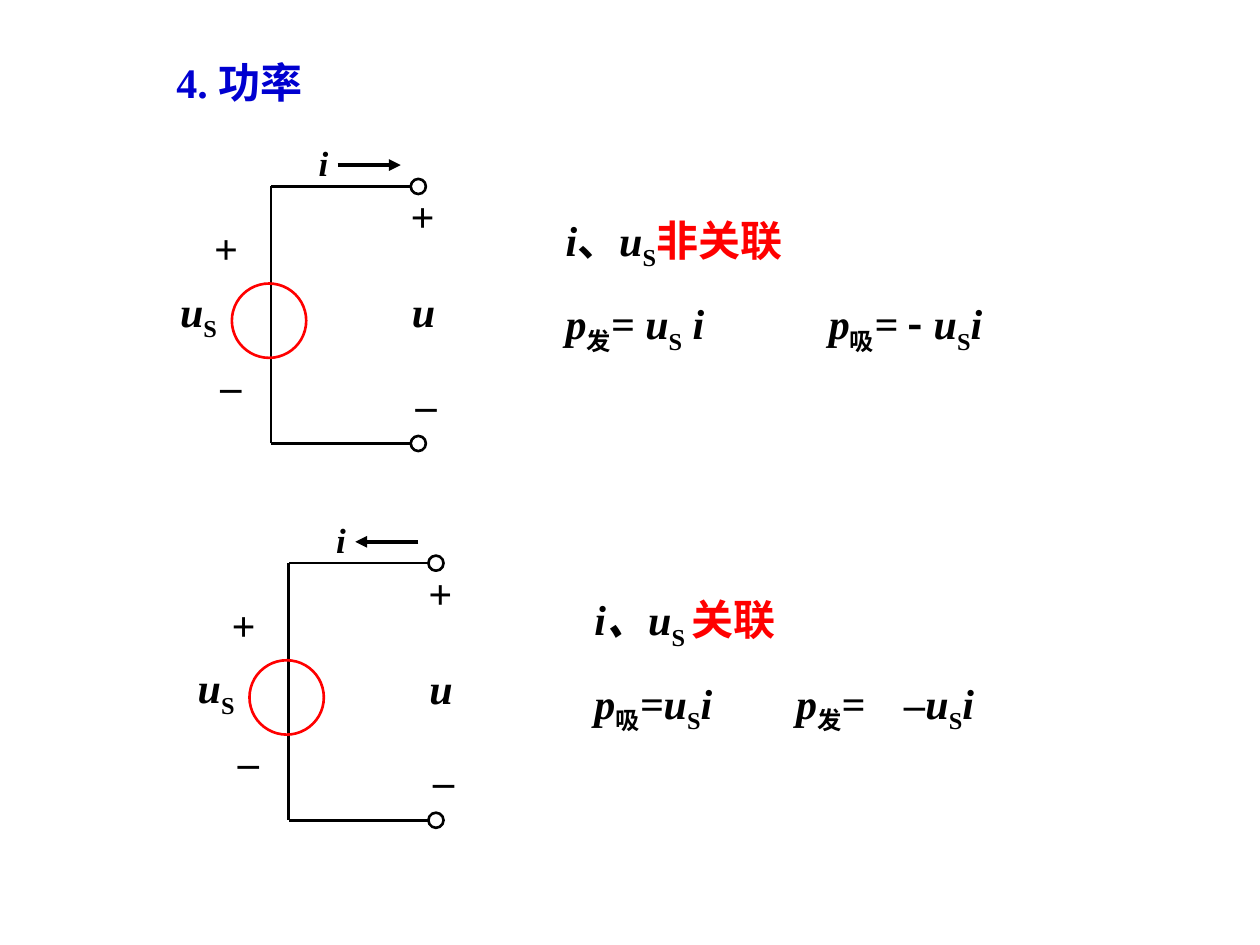
from dataclasses import dataclass

from lxml import etree
from pptx import Presentation
from pptx.dml.color import RGBColor
from pptx.enum.shapes import MSO_CONNECTOR, MSO_SHAPE
from pptx.enum.text import MSO_ANCHOR, MSO_AUTO_SIZE, PP_ALIGN
from pptx.oxml.ns import qn
from pptx.util import Inches, Pt

STRAIGHT = MSO_CONNECTOR.STRAIGHT
OVAL = MSO_SHAPE.OVAL
MIDDLE = MSO_ANCHOR.MIDDLE
GROW = MSO_AUTO_SIZE.SHAPE_TO_FIT_TEXT
CENTER, JUSTIFY = PP_ALIGN.CENTER, PP_ALIGN.JUSTIFY


@dataclass(frozen=True)
class Theme:
    ink: str = "000000"
    heading: str = "0000D0"
    accent: str = "FF0000"
    latin: str = "Times New Roman"
    asian: str = "Noto Sans CJK SC"
    body: float = 24
    small: float = 20
    gap: float = 15
    wire: float = 1.5
    arrow: float = 2.25


THEME = Theme()


# One piece of text with its format
def piece(text, italic=False, sub=False, color=THEME.ink, font=THEME.latin,
          size=THEME.body):
    return text, italic, sub, color, font, size


def var(text, **fmt):
    return piece(text, italic=True, **fmt)


def sub(text):
    return piece(text, sub=True)


class Board:
    def __init__(self, slide, theme):
        self.theme = theme
        self.slide = slide
        self.shapes = slide.shapes

    def start_group(self):
        self.shapes = self.slide.shapes.add_group_shape().shapes

    def text(self, left, top, width, height, *lines, align=CENTER,
             wrap=False, rotation=0, tabs=()):
        box = self.shapes.add_textbox(
            Inches(left), Inches(top), Inches(width), Inches(height))
        box.rotation = rotation
        frame = box.text_frame
        frame.word_wrap = wrap
        frame.auto_size = GROW
        frame.vertical_anchor = MIDDLE
        for number, pieces in enumerate(lines):
            paragraph = frame.add_paragraph() if number else frame.paragraphs[0]
            paragraph.alignment = align
            if number:
                paragraph.space_before = Pt(self.theme.gap)
            if number and tabs:
                self.add_tabs(paragraph, tabs)
            for item in pieces:
                self.add_run(paragraph, *item)

    def add_tabs(self, paragraph, tabs):
        stops = etree.SubElement(paragraph._p.get_or_add_pPr(), qn("a:tabLst"))
        for position in tabs:
            etree.SubElement(stops, qn("a:tab"),
                             pos=str(Inches(position)), algn="l")

    def add_run(self, paragraph, text, italic, lowered, color, font, size):
        run = paragraph.add_run()
        run.text = text
        run.font.size = Pt(size)
        run.font.bold = True
        run.font.italic = italic
        run.font.name = font
        run.font.color.rgb = RGBColor.from_string(color)
        properties = run._r.get_or_add_rPr()
        etree.SubElement(properties, qn("a:ea"), typeface=self.theme.asian)
        if lowered:
            properties.set("baseline", "-25000")

    def line(self, x1, y1, x2, y2, width=THEME.wire, arrow=False):
        connector = self.shapes.add_connector(
            STRAIGHT, Inches(x1), Inches(y1), Inches(x2), Inches(y2))
        connector.line.width = Pt(width)
        connector.line.color.rgb = RGBColor.from_string(self.theme.ink)
        if arrow:
            etree.SubElement(connector.line._get_or_add_ln(),
                             qn("a:tailEnd"), type="triangle")
        etree.SubElement(connector._element.spPr, qn("a:effectLst"))

    def circle(self, left, top, diameter, color):
        ring = self.shapes.add_shape(
            OVAL, Inches(left), Inches(top), Inches(diameter), Inches(diameter))
        ring.shadow.inherit = False
        ring.fill.background()
        ring.line.width = Pt(self.theme.wire)
        ring.line.color.rgb = RGBColor.from_string(color)


# Voltage source with two terminals; x, y is the upper corner of the wire
def draw_circuit(board, x, y, current_out):
    theme = board.theme
    wire_length, wire_height, terminal = 1.11, 2.04, 0.12
    board.start_group()

    # Current arrow
    ends = (0.53, 1.03) if current_out else (1.03, 0.53)
    board.line(x + ends[0], y - 0.17, x + ends[1], y - 0.17,
               width=theme.arrow, arrow=True)
    board.text(x + 0.28, y - 0.41, 0.27, 0.44, [var("i", size=theme.small)])

    # Wires, terminals and source
    board.line(x, y + wire_height, x, y)
    for wire_y in (y, y + wire_height):
        board.line(x + wire_length, wire_y, x, wire_y)
        board.circle(x + wire_length, wire_y - terminal / 2, terminal, theme.ink)
    board.circle(x - 0.31, y + 0.77, 0.59, theme.accent)

    # Voltage names and polarity signs
    board.text(x - 0.82, y + 0.73, 0.49, 0.56, [var("u"), sub("S")])
    board.text(x + 1.02, y + 0.74, 0.38, 0.5, [var("u")])
    for dx, dy in ((-0.55, 0.28), (1.01, 0.03)):
        board.text(x + dx, y + dy, 0.39, 0.5, [piece("+")], rotation=180)
    for dx, dy in ((-0.5, 1.21), (1.05, 1.36)):
        board.text(x + dx, y + dy, 0.34, 0.5, [piece("_")], wrap=True)


def main():
    deck = Presentation()
    deck.slide_width, deck.slide_height = Inches(10), Inches(7.5)
    board = Board(deck.slides.add_slide(deck.slide_layouts[6]), THEME)

    # Heading
    board.text(1.26, 0.4, 1.28, 0.5, [piece("4. 功率", color=THEME.heading)])

    # Power for opposed reference directions
    board.text(
        4.39, 1.65, 3.82, 1.22,
        [var("i"), piece("、"), var("u"), sub("S"),
         piece("非关联", color=THEME.accent)],
        [var("p"), sub("发"), var("= u"), sub("S"), var(" i\tp"), sub("吸"),
         var("="), piece(" -", font=THEME.asian), var(" u"), sub("S"), var("i")],
        align=JUSTIFY, wrap=True, tabs=[2.09])

    # Power for associated reference directions
    board.text(
        4.62, 4.66, 3.67, 1.22,
        [var("i、u"), sub("S "), piece("关联", color=THEME.accent)],
        [var("p"), sub("吸"), var("=u"), sub("S"), var("i\tp"), sub("发"),
         var("=\t–u"), sub("S"), var("i")],
        align=JUSTIFY, wrap=True, tabs=[1.6, 2.46])

    # Circuits
    draw_circuit(board, 2.15, 1.48, current_out=True)
    draw_circuit(board, 2.29, 4.47, current_out=False)

    deck.save("out.pptx")


if __name__ == "__main__":
    main()
